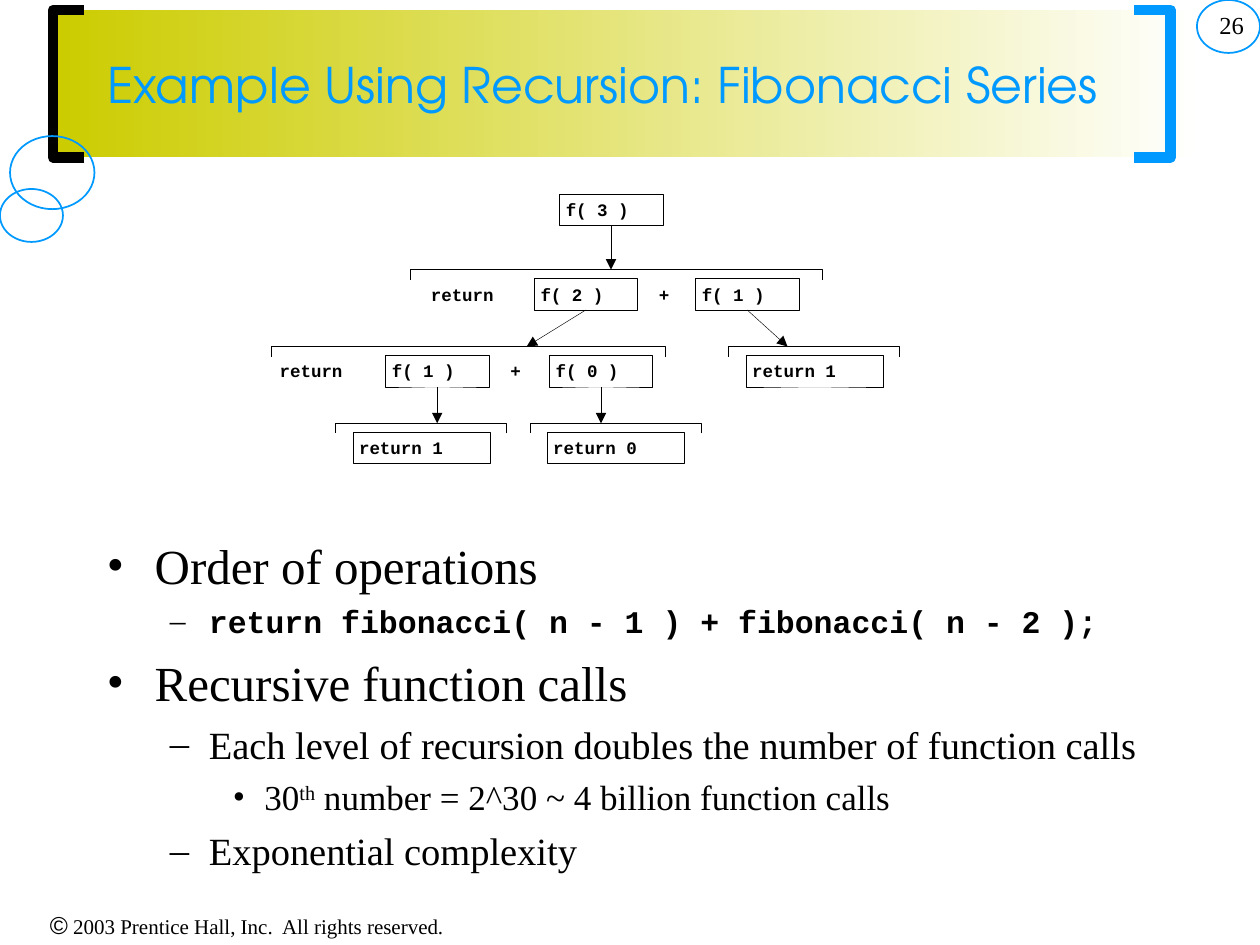
from lxml import etree
from pptx import Presentation
from pptx.dml.color import RGBColor
from pptx.enum import shapes, text
from pptx.oxml import ns
from pptx.util import Inches, Pt

BLACK = RGBColor(0x00, 0x00, 0x00)
WHITE = RGBColor(0xFF, 0xFF, 0xFF)
BLUE = RGBColor(0x00, 0x99, 0xFF)
OLIVE = RGBColor(0xCC, 0xCC, 0x00)
SERIF, MONO, SANS = "Times New Roman", "Courier New", "Arial"
HEADING = "TeX Gyre Adventor"

BOX_H, LABEL_PAD, TICK = 0.25, 0.05, 0.08
CALL_W, RESULT_W = 0.82, 1.09

# level: bullet character, left margin, hanging indent
BULLETS = {0: ("•", 0.38, 0.38), 1: ("–", 0.81, 0.31), 2: ("•", 1.25, 0.25)}
# level, runs (odd ones are superscript), size, font, bold, space before
POINTS = [
    (0, ["Order of operations"], 28, SERIF, False, 0),
    (1, ["return fibonacci( n - 1 ) + fibonacci( n - 2 );"], 18, MONO, True, 4.5),
    (0, ["Recursive function calls"], 28, SERIF, False, 7),
    (1, ["Each level of recursion doubles the number of function calls"],
     22, SERIF, False, 5.5),
    (2, ["30", "th", " number = 2^30 ~ 4 billion function calls"],
     20, SERIF, False, 5),
    (1, ["Exponential complexity"], 22, SERIF, False, 5.5),
]


def sub(parent, tag, **attrs):
    return etree.SubElement(parent, ns.qn(tag), attrs)


def set_font(font, name, size, color=BLACK, bold=False):
    font.name, font.size, font.bold = name, Pt(size), bold
    font.color.rgb = color


def set_insets(tf, x, y):
    tf.margin_left = tf.margin_right = Inches(x)
    tf.margin_top = tf.margin_bottom = Inches(y)


def add_textbox(slide, x, y, w, h, inset_x=0.1, inset_y=0.05):
    box = slide.shapes.add_textbox(Inches(x), Inches(y), Inches(w), Inches(h))
    tf = box.text_frame
    tf.word_wrap = True
    set_insets(tf, inset_x, inset_y)
    return tf


def add_shape(slide, kind, x, y, w, h, color, width):
    """Unfilled preset shape with a plain outline."""
    sp = slide.shapes.add_shape(kind, Inches(x), Inches(y), Inches(w), Inches(h))
    sp.shadow.inherit = False
    sp.fill.background()
    sp.line.color.rgb, sp.line.width = color, Pt(width)
    return sp


def add_bracket(slide, points, color, width):
    """Open outline through the given points."""
    start, *rest = [(Inches(x), Inches(y)) for x, y in points]
    builder = slide.shapes.build_freeform(*start)
    builder.add_line_segments(rest, close=False)
    sp = builder.convert_to_shape()
    sp.shadow.inherit = False
    sp.fill.background()
    sp.line.color.rgb, sp.line.width = color, Pt(width)


def add_decoration(slide, x, y, w, h):
    """Gradient band, its two side brackets and the circles."""
    band = add_shape(slide, shapes.MSO_SHAPE.RECTANGLE, x, y, w, h, OLIVE, 1)
    band.line.fill.background()
    band.fill.gradient()
    band.fill.gradient_angle = 0
    for stop, color in zip(band.fill.gradient_stops, (OLIVE, WHITE)):
        stop.color.rgb = color
    for inner, outer, color in ((x + 0.25, x, BLACK),
                                (x + 8.58, x + 8.87, BLUE)):
        add_bracket(slide, [(inner, y + h), (outer, y + h), (outer, y), (inner, y)],
                    color, 6)
    for circle in ((0.08, 1.08, 0.67, 0.58), (0, 1.5, 0.5, 0.42),
                   (9.5, 0, 0.5, 0.42)):
        add_shape(slide, shapes.MSO_SHAPE.OVAL, *circle, BLUE, 1)


def add_title(slide, x, y, w, h):
    title = slide.shapes.title
    slide.shapes._spTree.append(title._element)  # bring in front of the band
    title.left, title.top = Inches(x), Inches(y)
    title.width, title.height = Inches(w), Inches(h)
    tf = title.text_frame
    tf.text = "Example Using Recursion: Fibonacci Series"
    tf.vertical_anchor = text.MSO_ANCHOR.MIDDLE
    tf.paragraphs[0].alignment = text.PP_ALIGN.LEFT
    set_font(tf.paragraphs[0].font, HEADING, 28, BLUE)


def add_label(slide, x, y, w, label):
    p = add_textbox(slide, x, y, w, 0.19, 0, 0).paragraphs[0]
    p.text = label
    set_font(p.font, MONO, 10, bold=True)


def add_box(slide, x, y, w, label):
    sp = add_shape(slide, shapes.MSO_SHAPE.RECTANGLE, x, y, w, BOX_H, BLACK, 0.25)
    tf = sp.text_frame
    set_insets(tf, LABEL_PAD, 0.04)
    tf.vertical_anchor = text.MSO_ANCHOR.TOP
    p = tf.paragraphs[0]
    p.text, p.alignment = label, text.PP_ALIGN.LEFT
    set_font(p.font, MONO, 10, bold=True)
    return sp


def add_arrow(slide, box, end_x, end_y):
    """Arrow from the bottom of a box; straight down if end_x is None."""
    end = box.left + box.width // 2 if end_x is None else Inches(end_x)
    line = slide.shapes.add_connector(
        shapes.MSO_CONNECTOR.STRAIGHT, 0, 0, end, Inches(end_y))
    line.begin_connect(box, 2)
    line.line.color.rgb, line.line.width = BLACK, Pt(0.25)
    sub(line.line._get_or_add_ln(), "a:tailEnd", type="triangle")
    sub(line._element.spPr, "a:effectLst")


def add_call_tree(slide, x, y):
    """Calls made by f( 3 ), one row for each depth."""
    rows = [y, y + 0.67, y + 1.28, y + 1.89]
    # row, left, width, bracket over it
    brackets = [(1, 1.11, 3.27), (2, 0, 3.13), (2, 3.63, 1.36),
                (3, 0.51, 1.36), (3, 2.06, 1.36)]
    for row, left, width in brackets:
        l, r, top = x + left, x + left + width, rows[row] - 0.07
        add_bracket(slide, [(r, top + TICK), (r, top), (l, top), (l, top + TICK)],
                    BLACK, 0.25)
    # row, left, width, label, whether it calls on, arrow end (None: below)
    boxes = [
        (0, 2.29, CALL_W, "f( 3 )", True, None),
        (1, 2.09, CALL_W, "f( 2 )", True, 2.03),
        (1, 3.37, CALL_W, "f( 1 )", True, 4.1),
        (2, 0.91, CALL_W, "f( 1 )", True, None),
        (2, 2.21, CALL_W, "f( 0 )", True, None),
        (2, 3.77, RESULT_W, "return 1", False, None),
        (3, 0.65, RESULT_W, "return 1", False, None),
        (3, 2.19, RESULT_W, "return 0", False, None),
    ]
    for row, left, width, label, calls, end in boxes:
        box = add_box(slide, x + left, rows[row], width, label)
        if calls:
            end_x = None if end is None else x + end
            add_arrow(slide, box, end_x, rows[row + 1] - 0.07)
    for row, left, width, label in ((1, 1.27, 0.8, "return"), (1, 3.08, 0.18, "+"),
                                    (2, 0.07, 0.8, "return"), (2, 1.9, 0.18, "+")):
        add_label(slide, x + left, rows[row] + 0.04, width, label)


def add_points(slide, x, y, w, h):
    tf = add_textbox(slide, x, y, w, h)
    for i, (level, runs, size, name, bold, before) in enumerate(POINTS):
        p = tf.add_paragraph() if i else tf.paragraphs[0]
        char, margin, hang = BULLETS[level]
        p.level = level
        pPr = p._p.get_or_add_pPr()
        pPr.set("marL", str(Inches(margin)))
        pPr.set("indent", str(-Inches(hang)))
        sub(sub(pPr, "a:buClr"), "a:srgbClr", val=str(BLACK))
        sub(pPr, "a:buFont", typeface=SERIF)
        sub(pPr, "a:buChar", char=char)
        p.space_before = Pt(before)
        set_font(p.font, name, size, bold=bold)
        for j, words in enumerate(runs):
            r = p.add_run()
            r.text = words
            if j % 2:
                r._r.get_or_add_rPr().set("baseline", "30000")


def add_footer(slide, x, y, w, h):
    p = add_textbox(slide, x, y, w, h).paragraphs[0]
    p.alignment = text.PP_ALIGN.CENTER
    for words, name, size in (
            ("©", SANS, 14),
            (" 2003 Prentice Hall, Inc.  All rights reserved.", SERIF, 12)):
        r = p.add_run()
        r.text = words
        set_font(r.font, name, size)


def add_page_number(slide, x, y, w, h):
    p = add_textbox(slide, x, y, w, h).paragraphs[0]
    p.text, p.alignment = "26", text.PP_ALIGN.RIGHT
    set_font(p.font, SERIF, 14)


def main():
    prs = Presentation()
    prs.slide_width, prs.slide_height = Inches(10), Inches(7.5)
    slide = prs.slides.add_slide(prs.slide_layouts[5])
    add_decoration(slide, 0.42, 0.08, 9.12, 1.17)
    add_footer(slide, 0, 7.17, 3.92, 0.34)
    add_page_number(slide, 7.89, 0.03, 2.08, 0.5)
    add_title(slide, 0.75, 0.08, 8.5, 1.17)
    add_points(slide, 0.75, 4.2, 8.5, 2.88)
    add_call_tree(slide, 2.15, 1.54)
    prs.save("out.pptx")


if __name__ == "__main__":
    main()
